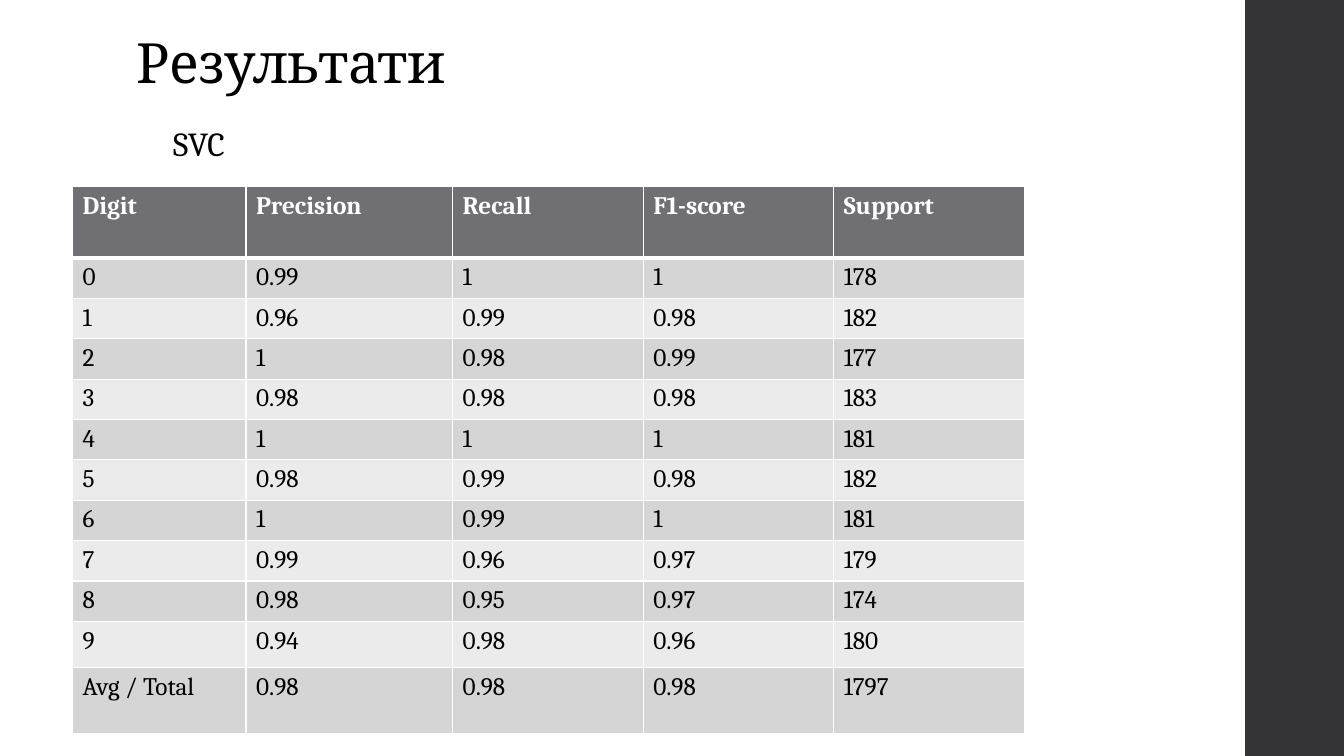
from dataclasses import dataclass

from lxml.etree import SubElement
from pptx import Presentation
from pptx.dml.color import RGBColor
from pptx.enum.shapes import MSO_SHAPE
from pptx.enum.text import MSO_ANCHOR
from pptx.oxml.ns import qn
from pptx.util import Inches, Pt

FONT = "Cambria"
BLACK, WHITE = "000000", "FFFFFF"
SIDEBAR, HEADER = "353537", "6F6F74"
BANDS = ("D5D5D6", "EBEBEB")


@dataclass
class Label:
    text: str
    left: float
    top: float
    width: float
    height: float
    size: float
    anchor: MSO_ANCHOR = MSO_ANCHOR.TOP
    line_spacing: float = 1.0
    tracking: float = 0


def rgb(color: str) -> RGBColor:
    return RGBColor.from_string(color)


def style_font(p, size: float, color: str, bold: bool = False) -> None:
    p.font.name = FONT
    p.font.size = Pt(size)
    p.font.bold = bold
    p.font.color.rgb = rgb(color)


def add_label(slide, label: Label) -> None:
    sp = slide.shapes.add_textbox(Inches(label.left), Inches(label.top),
                                  Inches(label.width), Inches(label.height))
    tf = sp.text_frame
    tf.word_wrap = True
    tf.vertical_anchor = label.anchor
    p = tf.paragraphs[0]
    p.line_spacing = label.line_spacing
    r = p.add_run()
    r.text = label.text
    style_font(p, label.size, BLACK)
    if label.tracking:
        r.font._element.set("spc", str(int(label.tracking * 100)))


def set_borders(cell, top: float, bottom: float) -> None:
    tc_pr = cell._tc.get_or_add_tcPr()
    for side, width in (("L", 1), ("R", 1), ("T", top), ("B", bottom)):
        ln = SubElement(tc_pr, qn(f"a:ln{side}"), w=str(Pt(width)))
        fill = SubElement(ln, qn("a:solidFill"))
        SubElement(fill, qn("a:srgbClr"), val=WHITE)


def add_scores(slide, rows: list, col_widths: list, row_heights: list) -> None:
    table = slide.shapes.add_table(
        len(rows), len(col_widths), Inches(0.72), Inches(1.85),
        Inches(sum(col_widths)), Inches(sum(row_heights))).table
    for column, width in zip(table.columns, col_widths):
        column.width = Inches(width)
    for i, (values, height) in enumerate(zip(rows, row_heights)):
        table.rows[i].height = Inches(height)
        header = i == 0
        for j, value in enumerate(values):
            cell = table.cell(i, j)
            cell.text = value
            style_font(cell.text_frame.paragraphs[0], 18,
                       WHITE if header else BLACK, header)
            # A thick rule separates the header from the body
            set_borders(cell, 3 if i == 1 else 1, 3 if header else 1)
            cell.fill.solid()
            cell.fill.fore_color.rgb = rgb(HEADER if header else BANDS[(i - 1) % 2])


prs = Presentation()
prs.slide_width, prs.slide_height = Inches(13.33), Inches(7.5)
slide = prs.slides.add_slide(prs.slide_layouts[6])

# Sidebar
sp = slide.shapes.add_shape(MSO_SHAPE.RECTANGLE, Inches(12.35), 0,
                            Inches(1), prs.slide_height)
sp.width = prs.slide_width - sp.left
sp.shadow.inherit = False
sp.fill.solid()
sp.fill.fore_color.rgb = rgb(SIDEBAR)
sp.line.fill.background()

# Title and classifier name
for label in (
    Label("Результати", 1.26, 0.36, 5.28, 0.64, 39.6, MSO_ANCHOR.BOTTOM, 0.9, -0.5),
    Label("SVC", 1.62, 1.17, 3.33, 0.5, 24),
):
    add_label(slide, label)

# Scores per digit
SCORES = [
    ("Digit", "Precision", "Recall", "F1-score", "Support"),
    ("0", "0.99", "1", "1", "178"),
    ("1", "0.96", "0.99", "0.98", "182"),
    ("2", "1", "0.98", "0.99", "177"),
    ("3", "0.98", "0.98", "0.98", "183"),
    ("4", "1", "1", "1", "181"),
    ("5", "0.98", "0.99", "0.98", "182"),
    ("6", "1", "0.99", "1", "181"),
    ("7", "0.99", "0.96", "0.97", "179"),
    ("8", "0.98", "0.95", "0.97", "174"),
    ("9", "0.94", "0.98", "0.96", "180"),
    ("Avg / Total", "0.98", "0.98", "0.98", "1797"),
]
add_scores(slide, SCORES, [1.72, 2.05] + [1.89] * 3, [0.71] + [0.4] * 9 + [0.46, 0.65])

prs.save("out.pptx")
